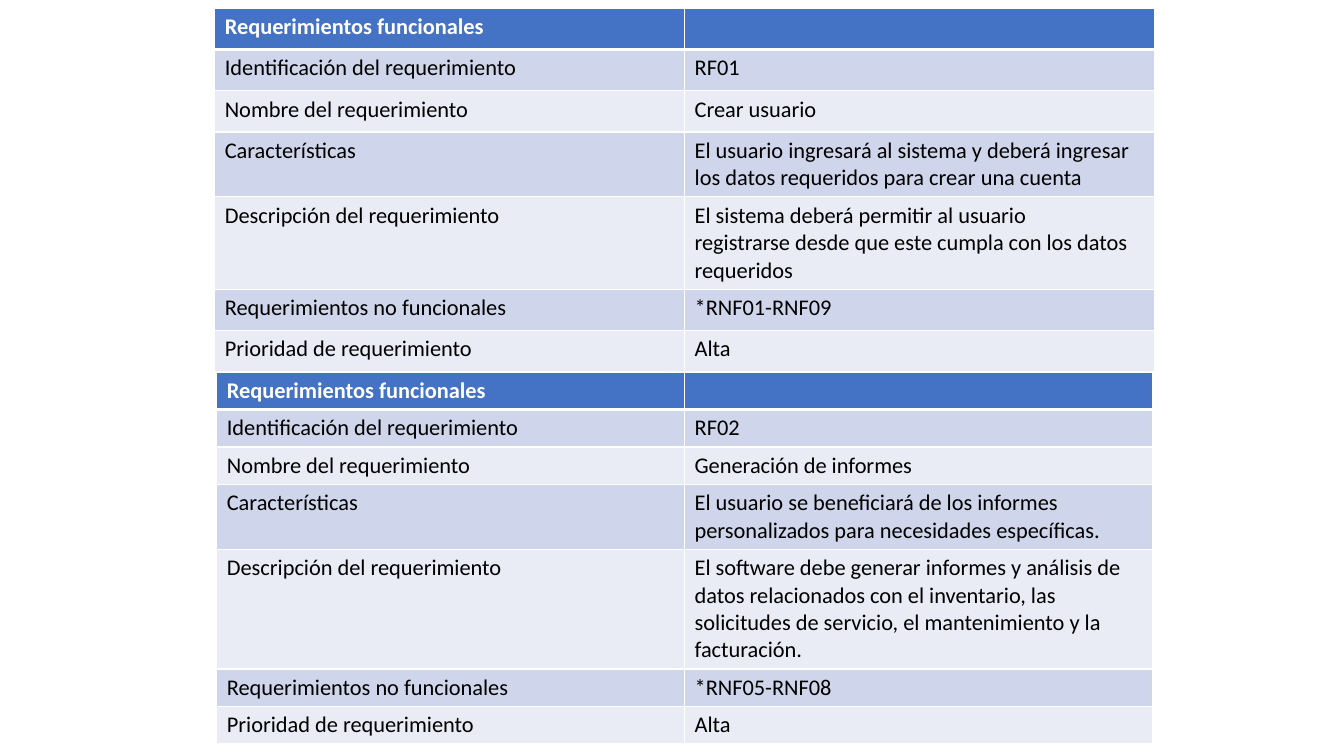
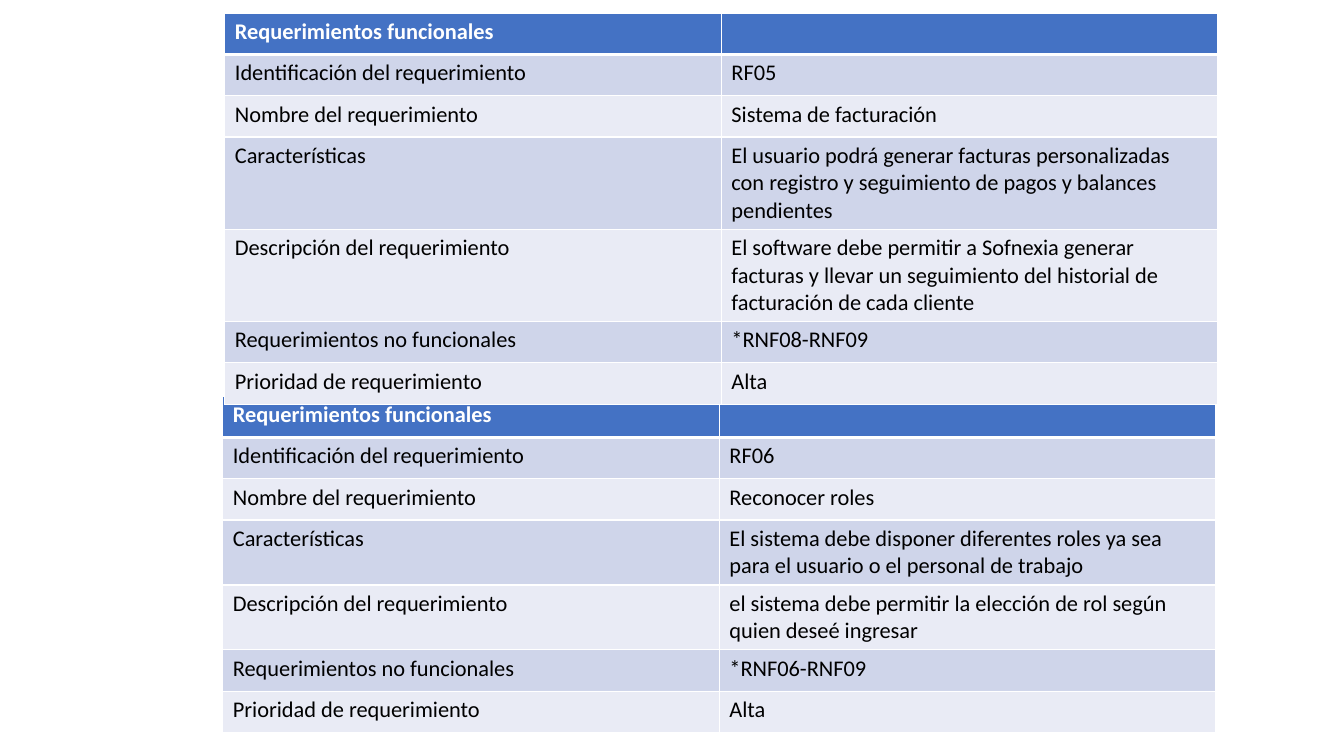
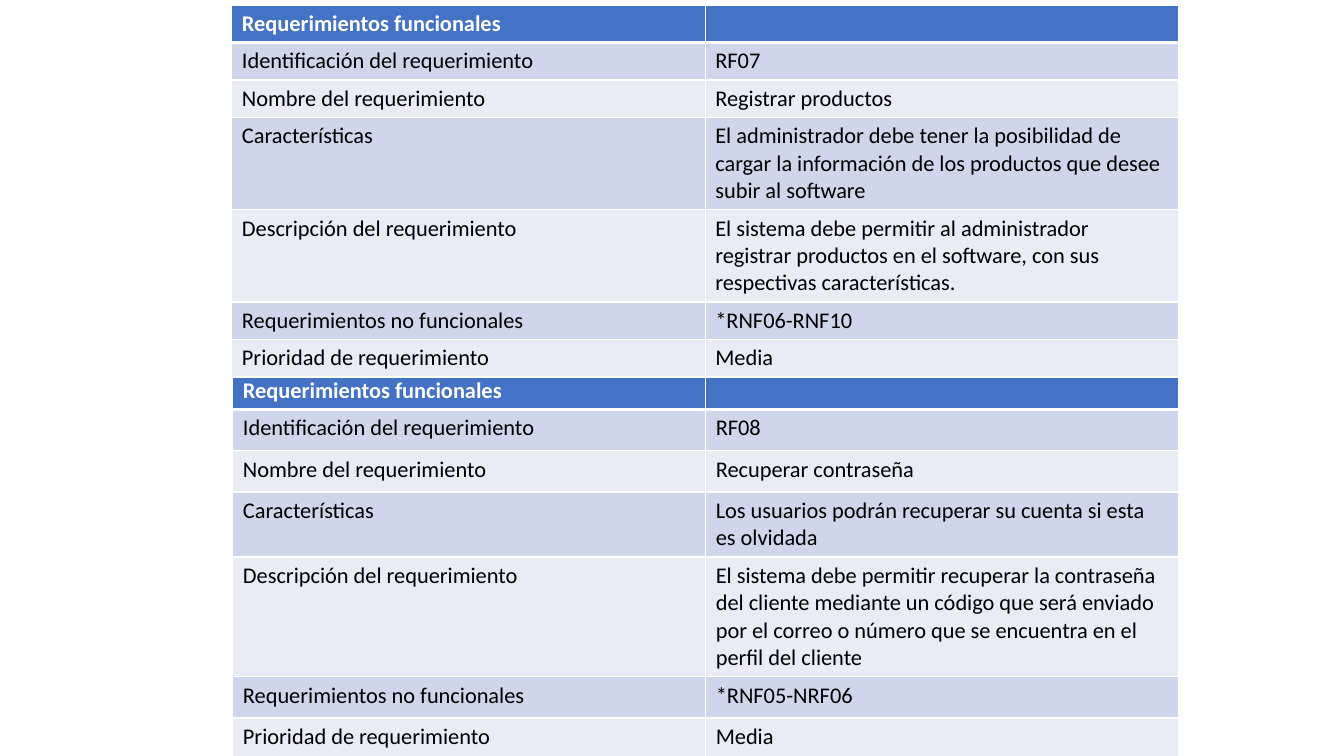
from dataclasses import dataclass

from lxml.etree import SubElement
from pptx import Presentation
from pptx.dml.color import RGBColor
from pptx.oxml.ns import qn
from pptx.util import Inches, Pt

FONT, TEXT_SIZE = "Calibri", 16
WHITE, BLACK, HEADER_BLUE = "FFFFFF", "000000", "4472C4"
BANDS = ("CFD5EA", "E9EBF5")
THIN, THICK = 1, 3
CELL_PADDING, LINE_HEIGHT = 0.1, 0.27
NBSP = chr(160)

TITLE = "Requerimientos funcionales"
LABELS = (
    "Identificación del requerimiento",
    "Nombre del requerimiento",
    "Características",
    "Descripción del requerimiento",
    "Requerimientos no funcionales",
    f"Prioridad de{NBSP}requerimiento",
)


@dataclass
class Requirement:
    """Answers to LABELS, and the text lines each answer takes."""
    answers: tuple
    lines: tuple


CREATE_USER = Requirement((
    "RF01",
    "Crear usuario",
    "El usuario ingresará al sistema y deberá ingresar los datos requeridos "
    "para crear una cuenta",
    f"El sistema deberá permitir{NBSP}al usuario registrarse{NBSP}desde que "
    "este cumpla con los datos requeridos",
    "*RNF01-RNF09",
    "Alta",
), (1, 1, 2, 3, 1, 1))

REPORTS = Requirement((
    "RF02",
    "Generación de informes",
    "El usuario se beneficiará de los informes personalizados para "
    "necesidades específicas.",
    "El software debe generar informes y análisis de datos relacionados con "
    "el inventario, las solicitudes de servicio, el mantenimiento y la "
    "facturación.",
    "*RNF05-RNF08",
    "Alta",
), (1, 1, 2, 4, 1, 1))

BILLING = Requirement((
    "RF05",
    "Sistema de facturación",
    "El usuario podrá generar facturas personalizadas con registro y "
    "seguimiento de pagos y balances pendientes",
    "El software debe permitir a Sofnexia generar facturas y llevar un "
    "seguimiento del historial de facturación de cada cliente",
    "*RNF08-RNF09",
    "Alta",
), (1, 1, 3, 3, 1, 1))

ROLES = Requirement((
    "RF06",
    "Reconocer roles",
    "El sistema debe disponer diferentes roles ya sea para el usuario o el "
    "personal de trabajo",
    "el sistema debe permitir la elección de rol según quien deseé ingresar",
    "*RNF06-RNF09",
    "Alta",
), (1, 1, 2, 2, 1, 1))

PRODUCTS = Requirement((
    "RF07",
    "Registrar productos",
    f"El administrador debe tener la posibilidad de cargar{NBSP}la "
    f"información de los productos que desee subir al{NBSP}software",
    f"El sistema debe permitir al administrador registrar{NBSP}productos en "
    f"el software, con sus respectivas{NBSP}características.",
    "*RNF06-RNF10",
    "Media",
), (1, 1, 3, 3, 1, 1))

PASSWORD = Requirement((
    "RF08",
    "Recuperar contraseña",
    "Los usuarios podrán recuperar su cuenta si esta es olvidada",
    "El sistema debe permitir recuperar la contraseña del cliente mediante "
    "un código que será enviado por el correo o número que se encuentra en "
    "el perfil del cliente",
    "*RNF05-NRF06",
    "Media",
), (1, 1, 2, 4, 1, 1))

# Each slide, back to front: requirement, (left, top, width), header and row height
SLIDES = (
    ((CREATE_USER, (2.13, 0.08, 9.32), 0.41, 0.41),
     (REPORTS, (2.15, 3.69, 9.28), 0.37, 0.37)),
    ((ROLES, (2.21, 3.93, 9.85), 0.41, 0.41),
     (BILLING, (2.23, 0.13, 9.85), 0.41, 0.41)),
    ((PASSWORD, (2.31, 3.69, 9.38), 0.37, 0.41),
     (PRODUCTS, (2.3, 0.05, 9.39), 0.37, 0.37)),
)


def color(hex_string):
    return RGBColor.from_string(hex_string)


def set_borders(cell, top, bottom):
    """Draw white borders; the schema wants them ahead of the fill."""
    properties = cell._tc.get_or_add_tcPr()
    widths = {"a:lnL": THIN, "a:lnR": THIN, "a:lnT": top, "a:lnB": bottom}
    for position, (tag, width) in enumerate(widths.items()):
        line = SubElement(properties, qn(tag), w=str(Pt(width)))
        solid = SubElement(line, qn("a:solidFill"))
        SubElement(solid, qn("a:srgbClr"), val=WHITE)
        properties.insert(position, line)


def fill_cell(cell, text, row):
    is_header = row == 0
    cell.fill.solid()
    cell.fill.fore_color.rgb = color(HEADER_BLUE if is_header else BANDS[(row - 1) % 2])
    set_borders(cell, top=THICK if row == 1 else THIN, bottom=THICK if is_header else THIN)
    para = cell.text_frame.paragraphs[0]
    if text:
        para.text = text
    else:
        # An empty cell takes its line height from the end mark
        SubElement(para._p, qn("a:endParaRPr"), sz=str(TEXT_SIZE * 100))
    para.font.name = FONT
    para.font.size = Pt(TEXT_SIZE)
    para.font.bold = is_header
    para.font.color.rgb = color(WHITE if is_header else BLACK)


def add_requirement(page, requirement, place, header_height, row_height):
    left, top, width = place
    heights = [header_height] + [
        max(row_height, CELL_PADDING + LINE_HEIGHT * count) for count in requirement.lines
    ]
    rows = [(TITLE, ""), *zip(LABELS, requirement.answers)]
    table = page.shapes.add_table(
        len(rows), 2, Inches(left), Inches(top), Inches(width), Inches(sum(heights))
    ).table
    table.horz_banding = False
    for row, (texts, height) in enumerate(zip(rows, heights)):
        table.rows[row].height = Inches(height)
        for column, text in enumerate(texts):
            fill_cell(table.cell(row, column), text, row)


def main():
    deck = Presentation()
    deck.slide_width, deck.slide_height = Inches(13.33), Inches(7.5)
    for tables in SLIDES:
        page = deck.slides.add_slide(deck.slide_layouts[6])
        for table in tables:
            add_requirement(page, *table)
    deck.save("out.pptx")


if __name__ == "__main__":
    main()
